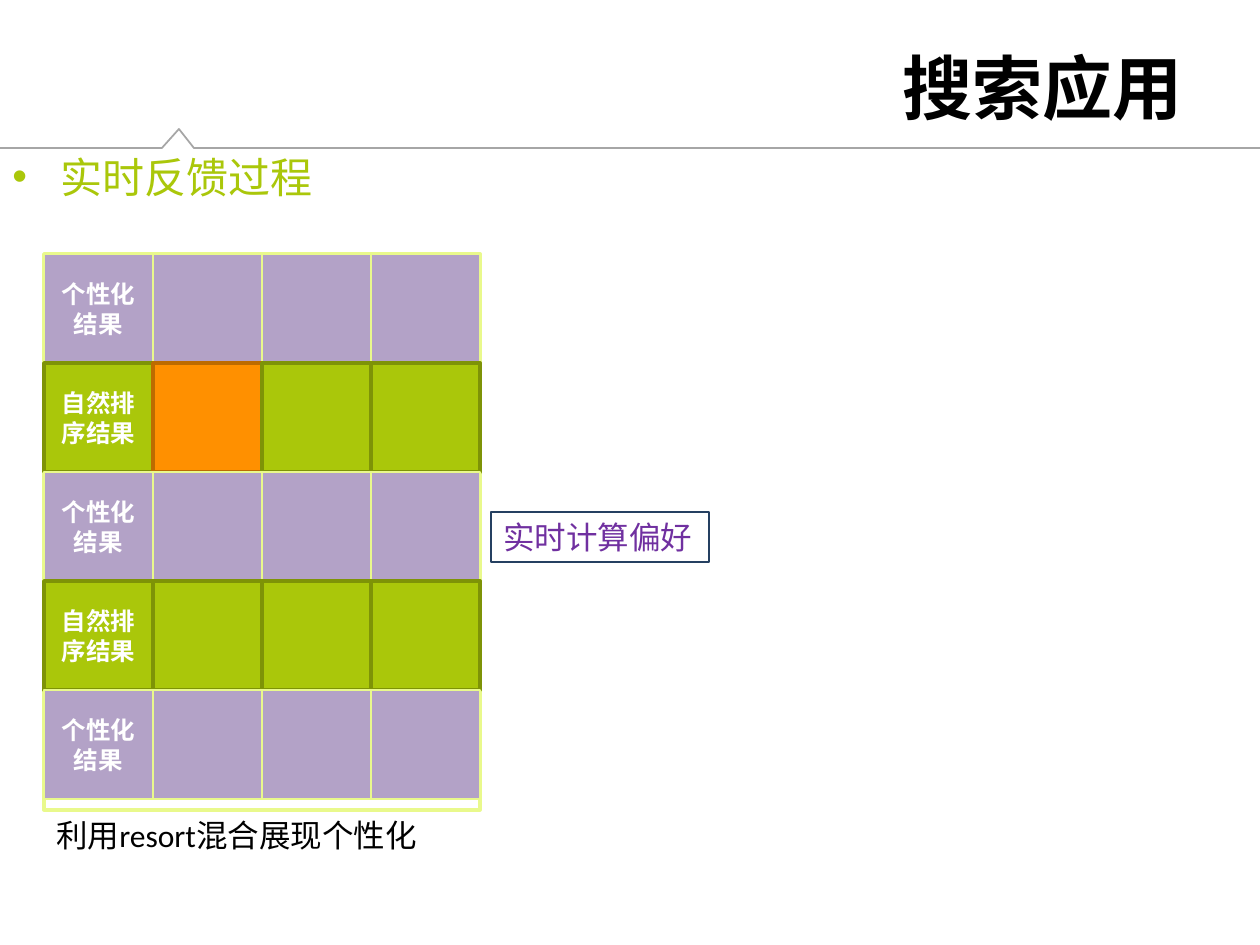
from dataclasses import dataclass
from typing import Optional

import pptx
import pptx.dml.color
import pptx.enum.shapes
import pptx.enum.text
import pptx.oxml.ns
import pptx.util
from lxml import etree

PX = 914400 / 126
ALIGN = pptx.enum.text.PP_ALIGN
ANCHOR = pptx.enum.text.MSO_ANCHOR


@dataclass(frozen=True)
class Theme:
    font: str = "Calibri"
    black: str = "000000"
    white: str = "FFFFFF"
    gray: str = "A6A6A6"
    green: str = "AAC70A"
    dark_green: str = "7E9307"
    pale_green: str = "E9F98C"
    lilac: str = "B3A2C7"
    orange: str = "FF9000"
    brown: str = "BD6B00"
    purple: str = "7030A0"
    navy: str = "254061"
    title_size: int = 40
    heading_size: int = 24
    body_size: int = 18
    cell_size: int = 14


THEME = Theme()


@dataclass(frozen=True)
class Box:
    left: int
    top: int
    width: int
    height: int


@dataclass(frozen=True)
class CellStyle:
    fill: Optional[str]
    line: str
    line_width: float


@dataclass(frozen=True)
class ResultRow:
    label: str
    style: CellStyle


PERSONAL = CellStyle(THEME.lilac, THEME.pale_green, 0.75)
NATURAL = CellStyle(THEME.green, THEME.dark_green, 2)
CLICKED = CellStyle(THEME.orange, THEME.brown, 2)
FRAME = CellStyle(THEME.white, THEME.pale_green, 2)
CALLOUT = CellStyle(None, THEME.navy, 0.75)

PERSONAL_ROW = ResultRow("个性化结果", PERSONAL)
NATURAL_ROW = ResultRow("自然排序结果", NATURAL)
ROWS = [PERSONAL_ROW, NATURAL_ROW, PERSONAL_ROW, NATURAL_ROW, PERSONAL_ROW]
COLUMNS = 4
CELL = 109
GRID_LEFT, GRID_TOP = 44, 254
CLICKED_CELL = (1, 1)


def px(length: int) -> int:
    return round(length * PX)


def place(box: Box) -> tuple:
    return px(box.left), px(box.top), px(box.width), px(box.height)


def rgb(value: str) -> pptx.dml.color.RGBColor:
    return pptx.dml.color.RGBColor.from_string(value)


def write_text(shape, text: str, *, size: int, color: str, bold: bool = False,
               align=ALIGN.LEFT, anchor=ANCHOR.TOP, bullet_indent: int = 0) -> None:
    frame = shape.text_frame
    frame.word_wrap = True
    frame.vertical_anchor = anchor
    frame.text = text
    paragraph = frame.paragraphs[0]
    paragraph.alignment = align
    if bullet_indent:
        properties = paragraph._p.get_or_add_pPr()
        properties.set("marL", str(px(bullet_indent)))
        properties.set("indent", str(-px(bullet_indent)))
        font = etree.SubElement(properties, pptx.oxml.ns.qn("a:buFont"))
        font.set("typeface", "Arial")
        bullet = etree.SubElement(properties, pptx.oxml.ns.qn("a:buChar"))
        bullet.set("char", "•")
    font = paragraph.runs[0].font
    font.name = THEME.font
    font.size = pptx.util.Pt(size)
    font.bold = bold
    font.color.rgb = rgb(color)


def add_rectangle(shapes, box: Box, style: CellStyle):
    shape = shapes.add_shape(pptx.enum.shapes.MSO_SHAPE.RECTANGLE, *place(box))
    shape.shadow.inherit = False
    if style.fill:
        shape.fill.solid()
        shape.fill.fore_color.rgb = rgb(style.fill)
    else:
        shape.fill.background()
    shape.line.color.rgb = rgb(style.line)
    shape.line.width = pptx.util.Pt(style.line_width)
    return shape


def add_header_rule(shapes) -> None:
    """Draw the full-width rule with its small peak under the title."""
    builder = shapes.build_freeform(0, 148, scale=PX)
    builder.add_line_segments([(162, 148), (179, 129), (194, 148), (1260, 148)], close=False)
    rule = builder.convert_to_shape()
    rule.shadow.inherit = False
    rule.fill.background()
    rule.line.color.rgb = rgb(THEME.gray)
    rule.line.width = pptx.util.Pt(1)


def add_result_grid(shapes) -> None:
    add_rectangle(shapes, Box(GRID_LEFT, GRID_TOP, COLUMNS * CELL, 556), FRAME)
    for row_index, row in enumerate(ROWS):
        for column in range(COLUMNS):
            style = CLICKED if (row_index, column) == CLICKED_CELL else row.style
            box = Box(GRID_LEFT + column * CELL, GRID_TOP + row_index * CELL, CELL, CELL)
            cell = add_rectangle(shapes, box, style)
            if column == 0:
                write_text(cell, row.label, size=THEME.cell_size, color=THEME.white,
                           bold=True, align=ALIGN.CENTER, anchor=ANCHOR.MIDDLE)


def main() -> None:
    presentation = pptx.Presentation()
    presentation.slide_width, presentation.slide_height = px(1260), px(945)
    slide = presentation.slides.add_slide(presentation.slide_layouts[5])
    shapes = slide.shapes

    add_header_rule(shapes)
    title = shapes.title
    title.left, title.top, title.width, title.height = place(Box(64, 37, 1131, 100))
    write_text(title, "搜索应用", size=THEME.title_size, color=THEME.black, bold=True,
               align=ALIGN.RIGHT, anchor=ANCHOR.MIDDLE)

    heading = shapes.add_textbox(*place(Box(0, 145, 1260, 800)))
    write_text(heading, "实时反馈过程", size=THEME.heading_size, color=THEME.green,
               bullet_indent=48)
    caption = shapes.add_textbox(*place(Box(44, 810, 427, 50)))
    write_text(caption, "利用resort混合展现个性化", size=THEME.body_size, color=THEME.black)

    add_result_grid(shapes.add_group_shape().shapes)
    callout = add_rectangle(shapes, Box(491, 512, 218, 50), CALLOUT)
    write_text(callout, "实时计算偏好", size=THEME.body_size, color=THEME.purple)

    presentation.save("out.pptx")


if __name__ == "__main__":
    main()
